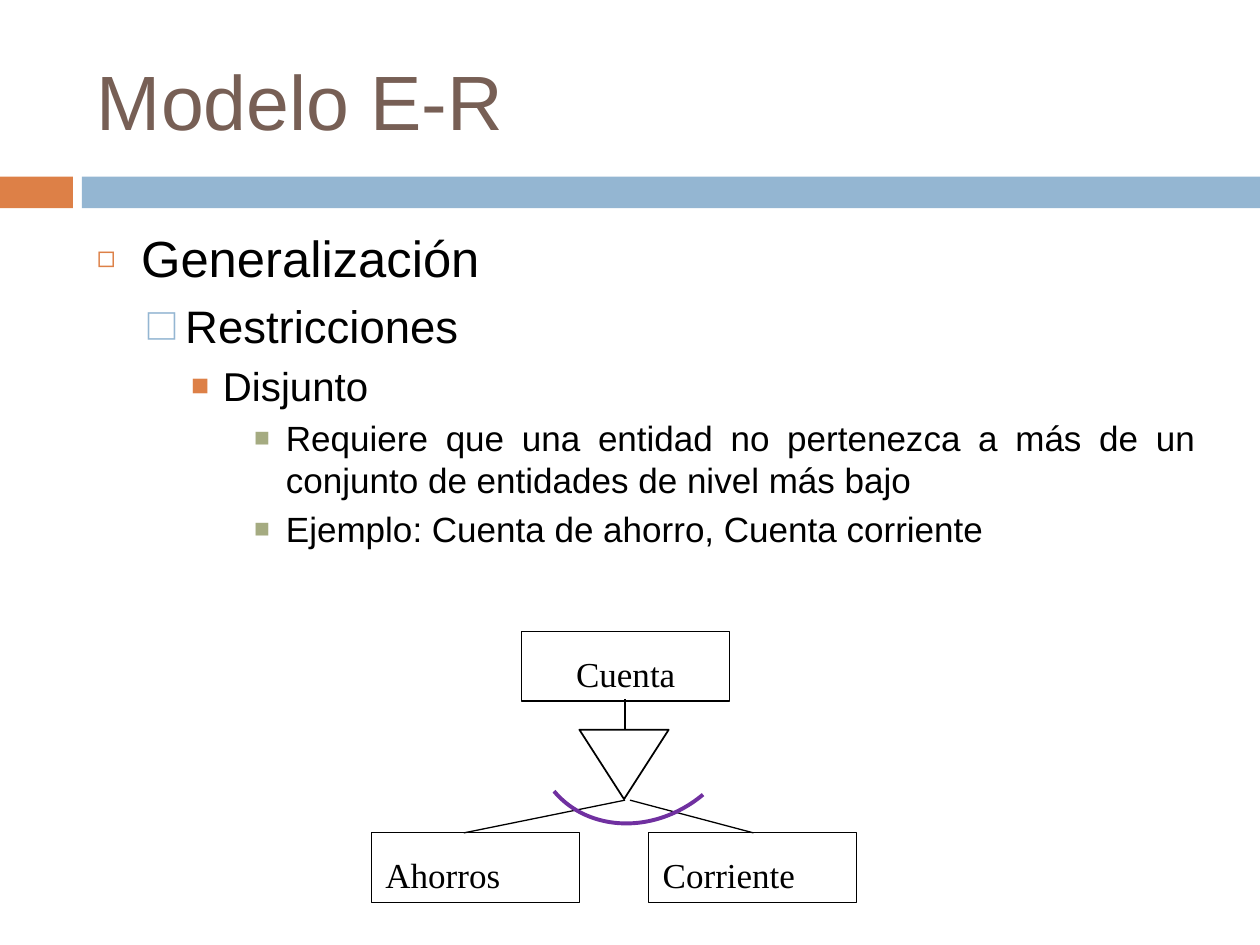
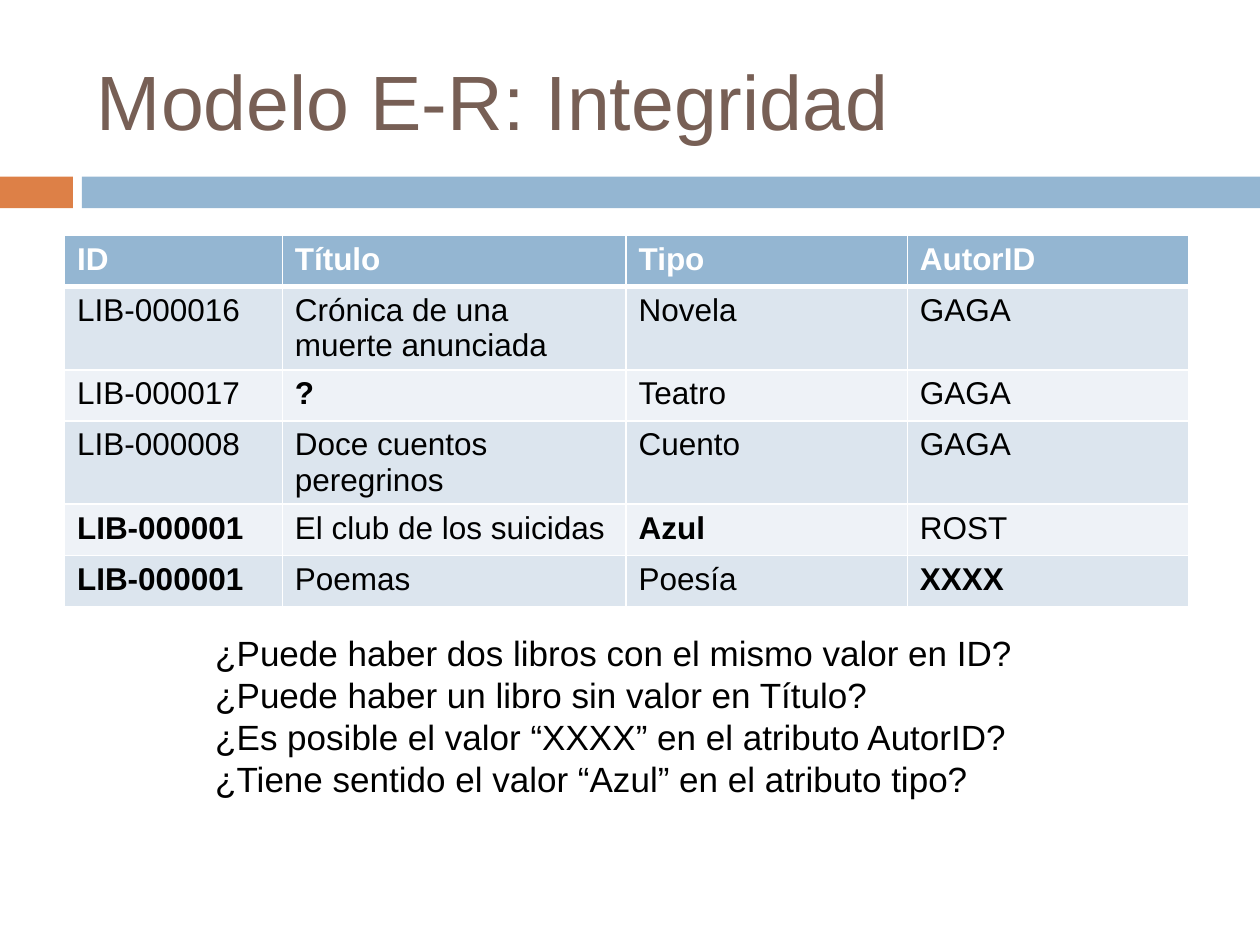
from lxml.etree import SubElement
from pptx import Presentation
from pptx.dml.color import RGBColor
from pptx.enum.shapes import MSO_CONNECTOR, MSO_SHAPE
from pptx.enum.text import MSO_ANCHOR, MSO_AUTO_SIZE, PP_ALIGN
from pptx.oxml.ns import qn
from pptx.util import Cm, Pt

BLACK, WHITE = "000000", "FFFFFF"
ORANGE, BLUE, GREEN = "DD8047", "94B6D2", "A5AB81"
BROWN, PURPLE = "775F55", "7030A0"
PALE, LIGHT = "DCE5EE", "EEF2F7"
SANS, SERIF = "Arial", "Times New Roman"

LEVELS = [
    (29, 0, 0.89, 0.89, "◻", ORANGE, 60),
    (26, 5.5, 1.78, 0.79, "⬜", BLUE, 70),
    (23, 5, 2.54, 0.64, "■", ORANGE, 75),
    (20, 4, 3.81, 0.64, "■", GREEN, 75),
]
POINTS = [
    (0, "Generalización"),
    (1, "Restricciones"),
    (2, "Disjunto"),
    (3, "Requiere que una entidad no pertenezca a más de un "
        "conjunto de entidades de nivel más bajo"),
    (3, "Ejemplo: Cuenta de ahorro, Cuenta corriente"),
]
BOOKS = [
    ("ID", "Título", "Tipo", "AutorID"),
    ("LIB-000016", "Crónica de una muerte anunciada", "Novela", "GAGA"),
    ("LIB-000017", "?", "Teatro", "GAGA"),
    ("LIB-000008", "Doce cuentos peregrinos", "Cuento", "GAGA"),
    ("LIB-000001", "El club de los suicidas", "Azul", "ROST"),
    ("LIB-000001", "Poemas", "Poesía", "XXXX"),
]
FAULTS = {"LIB-000001", "?", "Azul", "XXXX"}
WIDTHS = [4.39, 6.93, 5.67, 5.67]
ASKS = [
    "¿Puede haber dos libros con el mismo valor en ID?",
    "¿Puede haber un libro sin valor en Título?",
    "¿Es posible el valor “XXXX” en el atributo AutorID?",
    "¿Tiene sentido el valor “Azul” en el atributo tipo?",
]


def paint(target, color):
    target.solid()
    target.fore_color.rgb = RGBColor.from_string(color)


def style(para, size, color=BLACK, font=SANS, bold=False, align=PP_ALIGN.LEFT):
    para.alignment = align
    for run in para.runs:
        run.font.size = Pt(size)
        run.font.name = font
        run.font.bold = bold
        run.font.color.rgb = RGBColor.from_string(color)


def place(shape, left, top, width, height):
    shape.left, shape.top = Cm(left), Cm(top)
    shape.width, shape.height = Cm(width), Cm(height)


def add_form(slide, kind, left, top, width, height, color=BLACK, line=0.75, fill=None):
    form = slide.shapes.add_shape(kind, Cm(left), Cm(top), Cm(width), Cm(height))
    form.shadow.inherit = False
    if fill:
        paint(form.fill, fill)
        form.line.fill.background()
    else:
        form.fill.background()
        paint(form.line.fill, color)
        form.line.width = Pt(line)
    return form


def add_box(slide, text, left, top, align=PP_ALIGN.LEFT):
    box = add_form(slide, MSO_SHAPE.FLOWCHART_PROCESS, left, top, 4.19, 1.4)
    frame = box.text_frame
    frame.margin_left = frame.margin_right = Cm(0.28)
    frame.margin_top, frame.margin_bottom = Cm(0.42), Cm(0)
    frame.vertical_anchor = MSO_ANCHOR.TOP
    frame.text = text
    style(frame.paragraphs[0], 20, font=SERIF, align=align)


def add_line(slide, *ends):
    line = slide.shapes.add_connector(MSO_CONNECTOR.STRAIGHT, *map(Cm, ends))
    paint(line.line.fill, BLACK)
    line.line.width = Pt(0.75)
    SubElement(line._element.spPr, qn("a:effectLst"))


def add_page(deck, layout, title):
    slide = deck.slides.add_slide(deck.slide_layouts[layout])
    add_form(slide, MSO_SHAPE.RECTANGLE, 0, 3.56, 1.47, 0.64, fill=ORANGE)
    add_form(slide, MSO_SHAPE.RECTANGLE, 1.65, 3.56, 23.75, 0.64, fill=BLUE)
    head = slide.shapes.title
    place(head, 1.7, 0.64, 22.66, 2.74)
    head.text_frame.text = title
    head.text_frame.vertical_anchor = MSO_ANCHOR.MIDDLE
    style(head.text_frame.paragraphs[0], 44, BROWN)
    return slide


def add_mark(para, margin, hang, mark, color, scale):
    props = para._p.get_or_add_pPr()
    props.set("marL", str(Cm(margin)))
    props.set("indent", str(-Cm(hang)))
    SubElement(SubElement(props, qn("a:buClr")), qn("a:srgbClr"), val=color)
    SubElement(props, qn("a:buSzPct"), val=str(scale * 1000))
    SubElement(props, qn("a:buChar"), char=mark)


def fill_list(body, points):
    place(body, 1.7, 4.45, 22.66, 12.5)
    frame = body.text_frame
    frame.auto_size = MSO_AUTO_SIZE.NONE
    frame.text = "\n".join(text for _, text in points)
    for para, (level, _) in zip(frame.paragraphs, points):
        size, space, *mark = LEVELS[level]
        para.level = level
        para.space_before = Pt(space)
        style(para, size, align=PP_ALIGN.JUSTIFY)
        add_mark(para, *mark)


def add_edge(cell, side, width):
    edge = SubElement(cell._tc.get_or_add_tcPr(), qn(f"a:ln{side}"), w=str(Pt(width)))
    SubElement(SubElement(edge, qn("a:solidFill")), qn("a:srgbClr"), val=WHITE)


def fill_cell(cell, text, row):
    head = row == 0
    for side in "LRTB":
        thick = (head and side == "B") or (row == 1 and side == "T")
        add_edge(cell, side, 3 if thick else 1)
    paint(cell.fill, BLUE if head else PALE if row % 2 else LIGHT)
    cell.text_frame.text = text
    style(cell.text_frame.paragraphs[0], 18, WHITE if head else BLACK,
          bold=head or text in FAULTS)


def add_grid(slide, rows):
    frame = slide.shapes.add_table(len(rows), len(WIDTHS), Cm(1.3), Cm(4.75),
                                   Cm(sum(WIDTHS)), Cm(1.03 * len(rows)))
    table = frame.table
    for col, width in zip(table.columns, WIDTHS):
        col.width = Cm(width)
    for row, texts in enumerate(rows):
        for col, text in enumerate(texts):
            fill_cell(table.cell(row, col), text, row)


def add_text(slide, lines, left, top, width, height):
    box = slide.shapes.add_textbox(Cm(left), Cm(top), Cm(width), Cm(height))
    box.text_frame.word_wrap = True
    box.text_frame.text = "\n".join(lines)
    for para in box.text_frame.paragraphs:
        style(para, 20)


def draw_tree(slide):
    add_box(slide, "Cuenta", 10.52, 12.73, PP_ALIGN.CENTER)
    add_box(slide, "Ahorros", 7.49, 16.79)
    add_box(slide, "Corriente", 13.08, 16.79)
    add_line(slide, 12.6, 16.13, 9.35, 16.79)
    add_line(slide, 12.7, 16.13, 15.19, 16.79)
    wedge = add_form(slide, MSO_SHAPE.ISOSCELES_TRIANGLE, 11.68, 14.71, 1.8, 1.4, line=1)
    wedge.rotation = 180
    add_line(slide, 12.6, 14.1, 12.6, 14.71)
    arc = add_form(slide, MSO_SHAPE.ARC, 10.64, 12.52, 4.52, 3.96, PURPLE, 2.25)
    arc.rotation = 140.1


def main():
    deck = Presentation()
    deck.slide_width, deck.slide_height = Cm(25.4), Cm(19.05)

    model = add_page(deck, 1, "Modelo E-R")
    fill_list(model.placeholders[1], POINTS)
    draw_tree(model)

    rules = add_page(deck, 5, "Modelo E-R: Integridad")
    add_grid(rules, BOOKS)
    add_text(rules, ASKS, 4.09, 12.6, 17.4, 3.68)

    deck.save("out.pptx")


if __name__ == "__main__":
    main()
